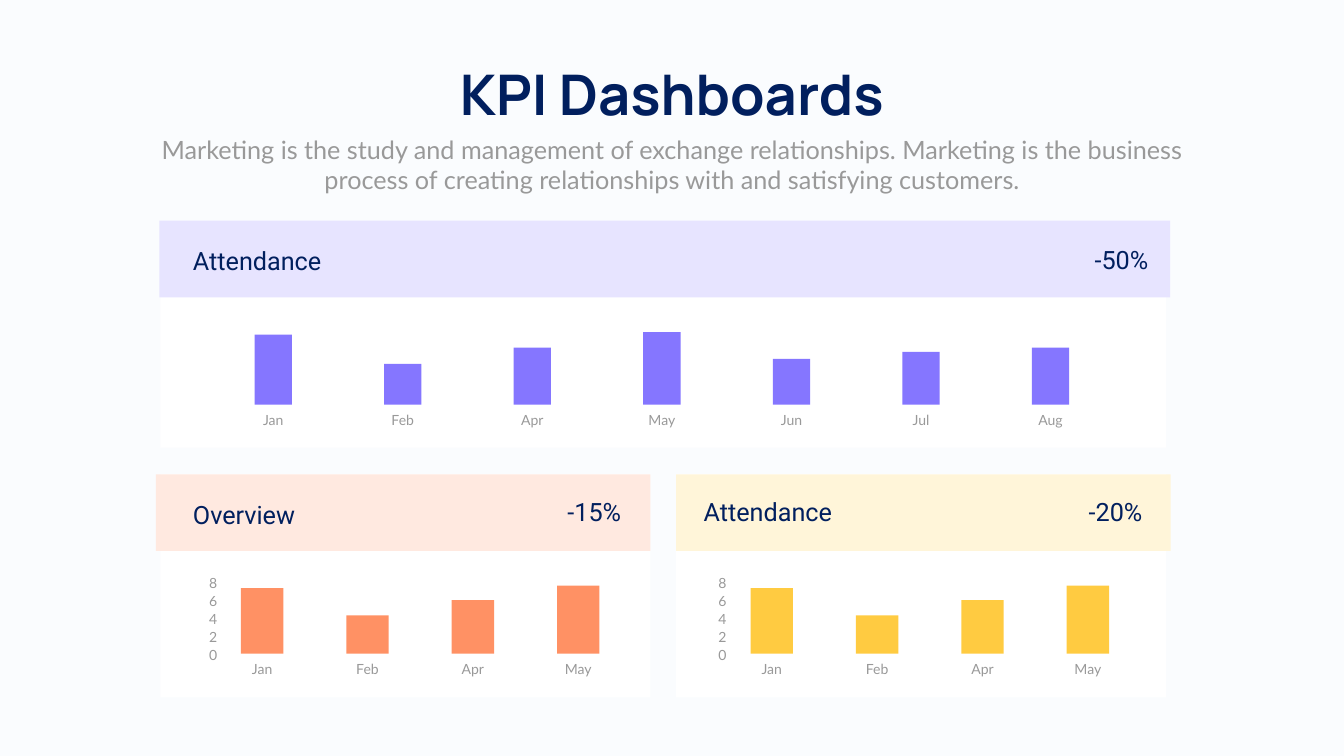
from dataclasses import dataclass

from pptx import Presentation
from pptx.dml.color import RGBColor
from pptx.enum.shapes import MSO_SHAPE
from pptx.enum.text import MSO_ANCHOR, PP_ALIGN
from pptx.slide import Slide
from pptx.util import Emu, Pt

PX = 9144

BACKGROUND = RGBColor(0xFA, 0xFC, 0xFE)
WHITE = RGBColor(0xFF, 0xFF, 0xFF)
NAVY = RGBColor(0x01, 0x1F, 0x5E)
GRAY = RGBColor(0x99, 0x99, 0x99)
LAVENDER = RGBColor(0xE7, 0xE4, 0xFF)
PURPLE = RGBColor(0x85, 0x76, 0xFF)
PEACH = RGBColor(0xFF, 0xE9, 0xE0)
ORANGE = RGBColor(0xFF, 0x91, 0x64)
CREAM = RGBColor(0xFF, 0xF5, 0xD9)
YELLOW = RGBColor(0xFF, 0xCB, 0x41)

LEFT, CENTER, RIGHT = PP_ALIGN.LEFT, PP_ALIGN.CENTER, PP_ALIGN.RIGHT


def px(*lengths):
    return [Emu(length * PX) for length in lengths]


@dataclass
class Dashboard:
    slide: Slide
    title_font: str = "Manrope"
    header_font: str = "Roboto"
    body_font: str = "Lato"

    def block(self, box, color):
        rectangle = self.slide.shapes.add_shape(MSO_SHAPE.RECTANGLE, *px(*box))
        rectangle.shadow.inherit = False
        rectangle.fill.solid()
        rectangle.fill.fore_color.rgb = color
        rectangle.line.fill.background()

    def text(self, words, box, size, font, color, align, bold=False, wrap=True):
        frame = self.slide.shapes.add_textbox(*px(*box)).text_frame
        frame.word_wrap = wrap
        frame.text = words
        paragraph = frame.paragraphs[0]
        paragraph.alignment = align
        run_font = paragraph.runs[0].font
        run_font.name = font
        run_font.size = Pt(size)
        run_font.bold = bold
        run_font.color.rgb = color
        return frame

    def title(self, words, box):
        frame = self.text(words, box, 80, self.title_font, NAVY, CENTER, True, False)
        frame.vertical_anchor = MSO_ANCHOR.MIDDLE

    def subtitle(self, words, box):
        self.text(words, box, 36, self.body_font, GRAY, CENTER)

    def header(self, words, box, align):
        self.text(words, box, 36, self.header_font, NAVY, align)

    def label(self, words, box, align=CENTER):
        self.text(words, box, 20, self.body_font, GRAY, align)

    def bars(self, months, heights, center, pitch, base, width, color):
        for i, (month, height) in enumerate(zip(months, heights)):
            middle = center + i * pitch
            self.block((middle - width // 2, base - height, width, height), color)
            self.label(month, (middle - 110, base + 9, 220, 44))

    def axis(self, left, zero_top):
        for value in range(0, 10, 2):
            self.label(str(value), (left, zero_top - value * 71 // 4, 86, 34), RIGHT)


def main():
    presentation = Presentation()
    presentation.slide_width, presentation.slide_height = px(2666, 1500)
    slide = presentation.slides.add_slide(presentation.slide_layouts[6])
    slide.background.fill.solid()
    slide.background.fill.fore_color.rgb = BACKGROUND
    board = Dashboard(slide)

    board.title("KPI Dashboards", (867, 112, 932, 145))
    board.subtitle(
        "Marketing is the study and management of exchange relationships. "
        "Marketing is the business process of creating relationships with "
        "and satisfying customers.",
        (292, 261, 2082, 131),
    )

    board.block((1341, 941, 972, 443), WHITE)
    board.block((318, 445, 1995, 443), WHITE)
    board.block((318, 941, 972, 443), WHITE)

    board.block((316, 438, 2005, 152), LAVENDER)
    board.header("Attendance", (373, 481, 560, 71), LEFT)
    board.header("-50%", (2144, 480, 161, 71), CENTER)
    board.bars(
        ("Jan", "Feb", "Apr", "May", "Jun", "Jul", "Aug"),
        (139, 81, 113, 144, 91, 105, 113),
        542, 257, 803, 74, PURPLE,
    )

    small_cards = (
        ("Overview", (373, 986), "-15%", 1081, 309, 520, 355, PEACH, ORANGE),
        ("Attendance", (1386, 980), "-20%", 2115, 1341, 1531, 1365, CREAM, YELLOW),
    )
    for name, corner, change, change_left, left, center, axis_left, tint, color in small_cards:
        board.block((left, 941, 981, 152), tint)
        board.header(name, (*corner, 560, 71), LEFT)
        board.header(change, (change_left, 980, 161, 71), RIGHT)
        board.bars(
            ("Jan", "Feb", "Apr", "May"), (130, 76, 106, 135),
            center, 209, 1297, 84, color,
        )
        board.axis(axis_left, 1277)

    presentation.save("out.pptx")


if __name__ == "__main__":
    main()
